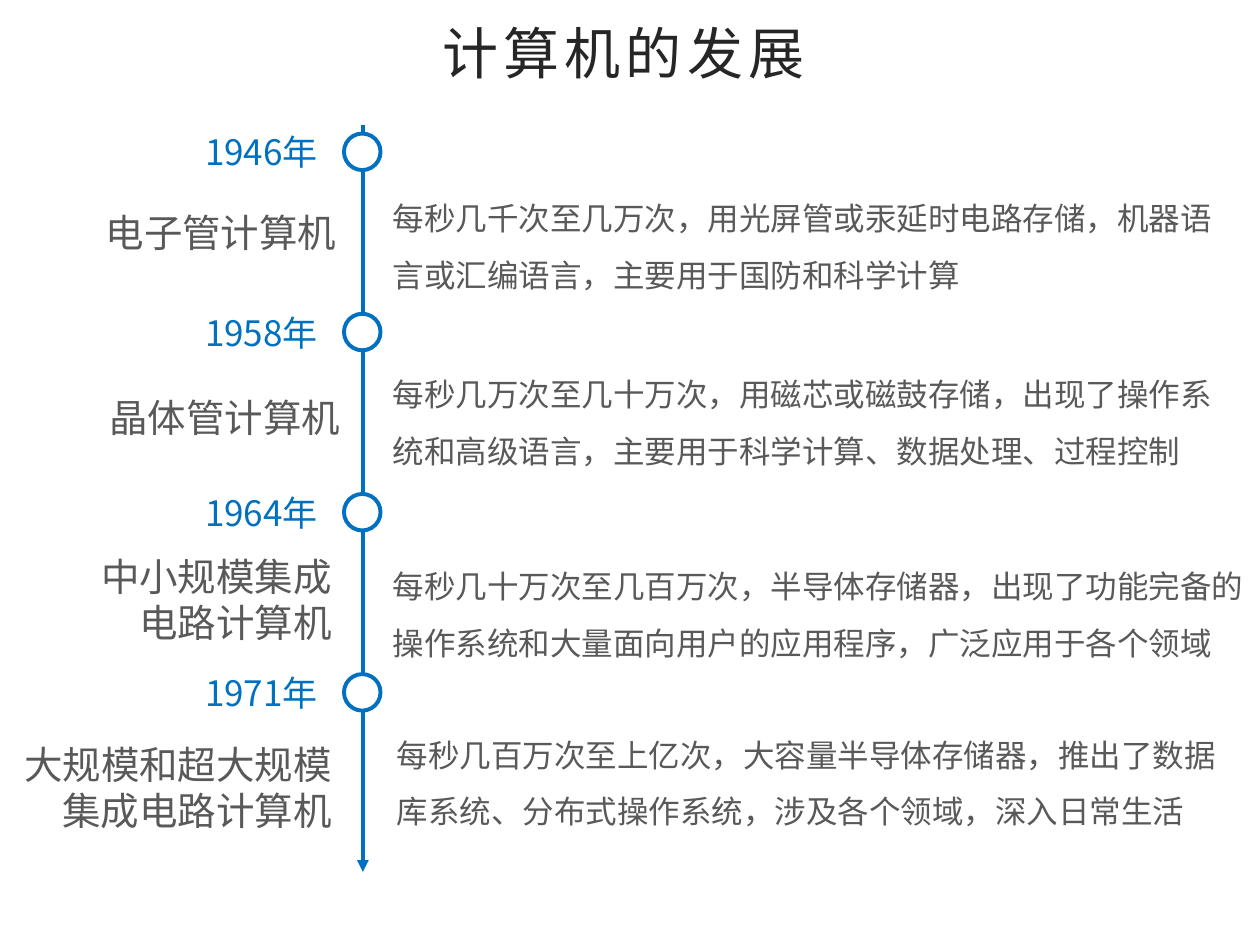
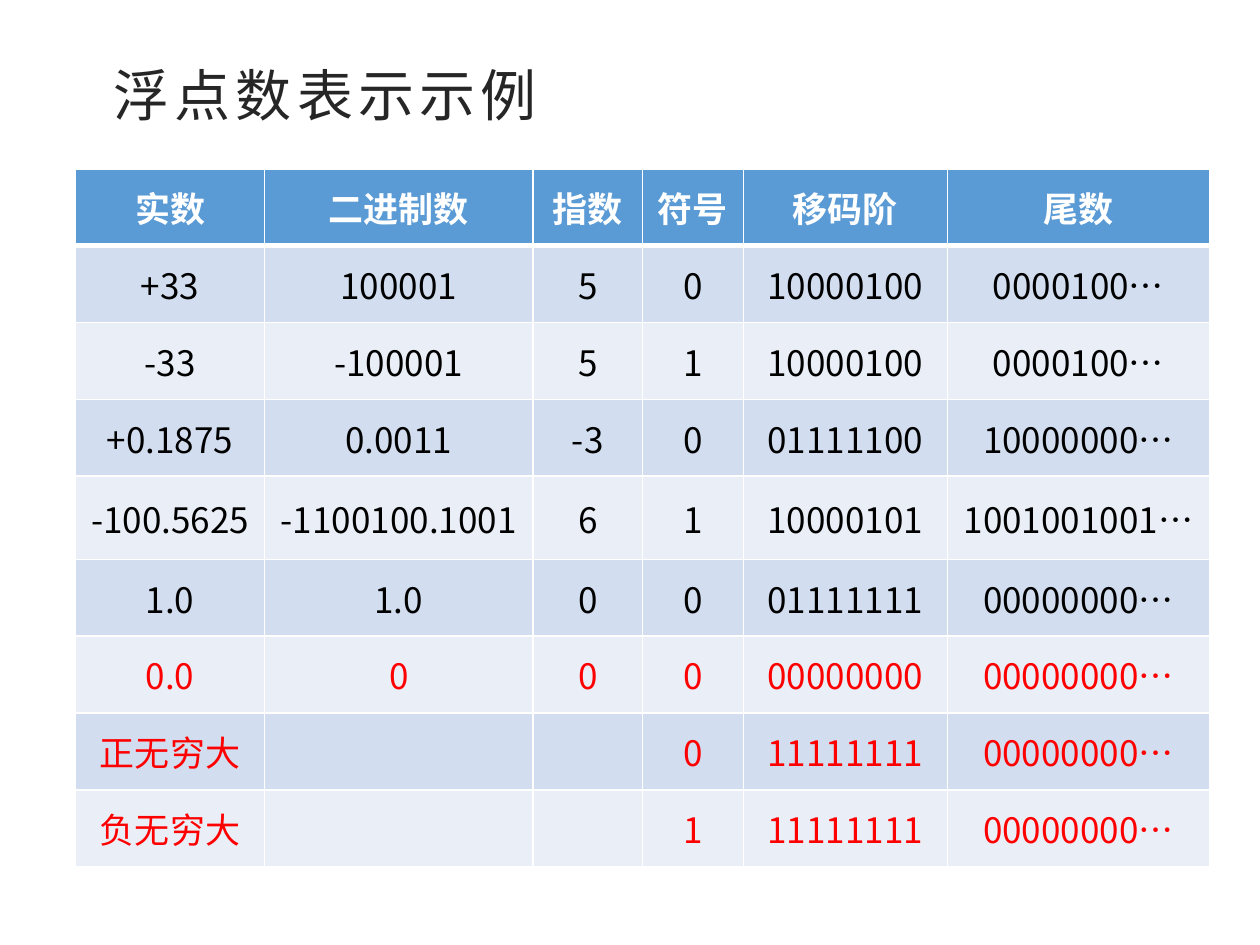
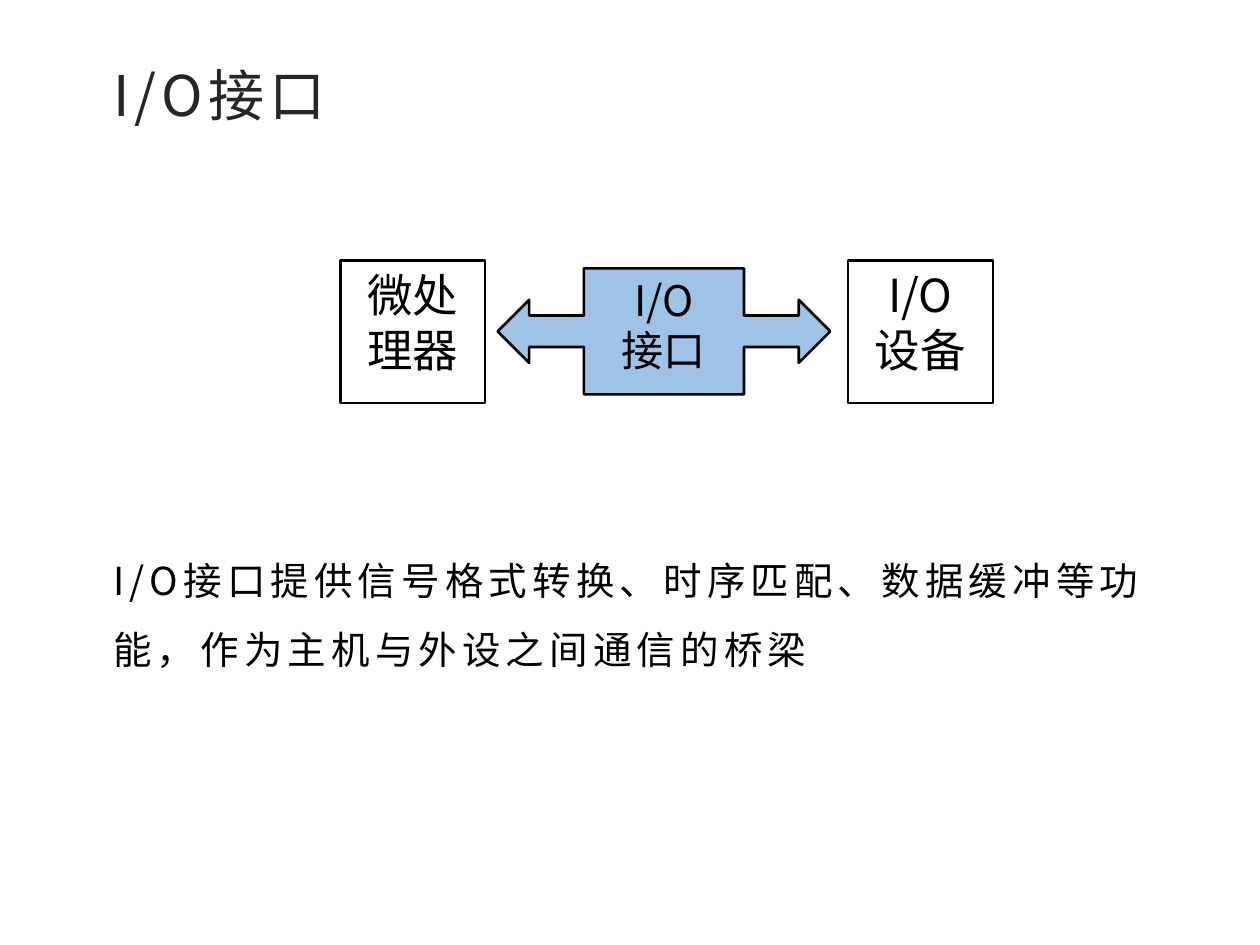
from lxml.etree import SubElement
from pptx import Presentation
from pptx.dml.color import RGBColor
from pptx.enum.shapes import MSO_CONNECTOR as Connector
from pptx.enum.shapes import MSO_SHAPE as Shape
from pptx.enum.text import MSO_ANCHOR as Anchor
from pptx.enum.text import MSO_AUTO_SIZE as AutoSize
from pptx.enum.text import PP_ALIGN as Align
from pptx.oxml.ns import qn
from pptx.util import Emu, Pt

FONT = "Noto Sans CJK SC"
BLACK, WHITE, RED = "000000", "FFFFFF", "FF0000"
BLUE, GRAY, TITLE = "0070C0", "595959", "262626"
HEADER, BANDS = "5B9BD5", ("EAEFF7", "D2DEEF")
CALLOUT = "9DC3E6"


def px(length):
    return Emu(length * 9144)


def color(code):
    return RGBColor.from_string(code)


class Deck:
    def __init__(self, width, height):
        self.deck = Presentation()
        self.deck.slide_width, self.deck.slide_height = px(width), px(height)
        self.page = None

    def add_page(self):
        self.page = self.deck.slides.add_slide(self.deck.slide_layouts[6])

    def fill_text(self, frame, lines, size, tone, align=Align.LEFT, spacing=None, tracking=0, bold=False):
        for index, line in enumerate(lines):
            para = frame.add_paragraph() if index else frame.paragraphs[0]
            para.alignment = align
            if spacing:
                para.line_spacing = spacing
            span = para.add_run()
            span.text = line
            font = span.font
            font.name, font.size, font.bold = FONT, Pt(size), bold
            font.color.rgb = color(tone)
            properties = span._r.get_or_add_rPr()
            if tracking:
                properties.set("spc", str(tracking * 100))
            SubElement(properties, qn("a:ea"), typeface=FONT)

    def text(self, area, line, size, tone, **style):
        frame = self.page.shapes.add_textbox(*map(px, area)).text_frame
        frame.word_wrap = True
        frame.auto_size = AutoSize.SHAPE_TO_FIT_TEXT
        self.fill_text(frame, [line], size, tone, **style)

    def title(self, line, area=(80, 43, 858, 64)):
        self.text(area, line, 32, TITLE, tracking=3)

    def shape(self, kind, area, fill, outline, weight, lines=(), size=0):
        box = self.page.shapes.add_shape(kind, *map(px, area))
        box.shadow.inherit = False
        box.fill.solid()
        box.fill.fore_color.rgb = color(fill)
        box.line.color.rgb = color(outline)
        box.line.width = Pt(weight)
        box.text_frame.vertical_anchor = Anchor.TOP
        self.fill_text(box.text_frame, lines, size, BLACK, Align.CENTER)

    def arrow(self, start, end, tone, weight):
        ends = map(px, (*start, *end))
        line = self.page.shapes.add_connector(Connector.STRAIGHT, *ends)
        line.line.color.rgb = color(tone)
        line.line.width = Pt(weight)
        properties = line._element.spPr
        SubElement(properties.find(qn("a:ln")), qn("a:tailEnd"), type="triangle")
        SubElement(properties, qn("a:effectLst"))

    def borders(self, cell, top, bottom):
        properties = cell._tc.get_or_add_tcPr()
        for side, weight in zip("LRTB", (1, 1, top, bottom)):
            edge = SubElement(properties, qn(f"a:ln{side}"), w=str(Pt(weight)))
            fill = SubElement(edge, qn("a:solidFill"))
            SubElement(fill, qn("a:srgbClr"), val=WHITE)

    def table(self, left, top, widths, heights, rows, red_from):
        area = (left, top, sum(widths), sum(heights))
        table = self.page.shapes.add_table(len(rows), len(widths), *map(px, area)).table
        table.first_row = table.horz_banding = False
        for column, width in zip(table.columns, widths):
            column.width = px(width)
        for index, (height, values) in enumerate(zip(heights, rows)):
            table.rows[index].height = px(height)
            header = index == 0
            fill = HEADER if header else BANDS[index % 2]
            tone = WHITE if header else RED if index >= red_from else BLACK
            for cell, value in zip(table.rows[index].cells, values):
                self.borders(cell, 3 if index == 1 else 1, 3 if header else 1)
                cell.fill.solid()
                cell.fill.fore_color.rgb = color(fill)
                cell.vertical_anchor = Anchor.MIDDLE
                if value:
                    self.fill_text(cell.text_frame, [value], 20, tone, Align.CENTER, bold=header)


STAGES = [
    ("1946年", "电子管计算机", (74, 161, 221, 47), Align.LEFT,
     "每秒几千次至几万次，用光屏管或汞延时电路存储，机器语言或汇编语言，主要用于国防和科学计算",
     (302, 138, 684, 101)),
    ("1958年", "晶体管计算机", (77, 308, 214, 47), Align.LEFT,
     "每秒几万次至几十万次，用磁芯或磁鼓存储，出现了操作系统和高级语言，主要用于科学计算、数据处理、过程控制",
     (302, 278, 684, 101)),
    ("1964年", "中小规模集成电路计算机", (45, 434, 228, 84), Align.RIGHT,
     "每秒几十万次至几百万次，半导体存储器，出现了功能完备的操作系统和大量面向用户的应用程序，广泛应用于各个领域",
     (302, 430, 698, 101)),
    ("1971年", "大规模和超大规模集成电路计算机", (8, 583, 265, 84), Align.RIGHT,
     "每秒几百万次至上亿次，大容量半导体存储器，推出了数据库系统、分布式操作系统，涉及各个领域，深入日常生活",
     (305, 564, 681, 101)),
]

FLOATS = [
    ("实数", "二进制数", "指数", "符号", "移码阶", "尾数"),
    ("+33", "100001", "5", "0", "10000100", "0000100…"),
    ("-33", "-100001", "5", "1", "10000100", "0000100…"),
    ("+0.1875", "0.0011", "-3", "0", "01111100", "10000000…"),
    ("-100.5625", "-1100100.1001", "6", "1", "10000101", "1001001001…"),
    ("1.0", "1.0", "0", "0", "01111111", "00000000…"),
    ("0.0", "0", "0", "0", "00000000", "00000000…"),
    ("正无穷大", "", "", "0", "11111111", "00000000…"),
    ("负无穷大", "", "", "1", "11111111", "00000000…"),
]


def timeline_page(deck):
    deck.add_page()
    deck.title("计算机的发展", (341, 10, 322, 64))
    deck.arrow((288, 99), (288, 692), BLUE, 2.25)
    for index, (year, name, name_area, align, detail, detail_area) in enumerate(STAGES):
        top = 99 + 143 * index
        deck.shape(Shape.OVAL, (273, top + 7, 29, 29), WHITE, BLUE, 2.25)
        deck.text((153, top, 134, 44), year, 20, BLUE)
        deck.text(name_area, name, 22, GRAY, align=align)
        deck.text(detail_area, detail, 18, GRAY, spacing=1.5)


def floats_page(deck):
    deck.add_page()
    deck.title("浮点数表示示例")
    heights = [66 if row == 4 else 61 for row in range(len(FLOATS))]
    deck.table(60, 134, (150, 213, 87, 80, 162, 208), heights, FLOATS, red_from=6)


def interface_page(deck):
    deck.add_page()
    deck.title("I/O接口")
    for left, lines in ((270, ["微处理器"]), (673, ["I/O", "设备"])):
        deck.shape(Shape.FLOWCHART_PROCESS, (left, 207, 115, 113), WHITE, BLACK, 1.5, lines, 26)
    deck.shape(Shape.LEFT_RIGHT_ARROW_CALLOUT, (395, 213, 264, 100), CALLOUT, BLACK, 1.5,
               ["I/O", "接口"], 24)
    deck.text((80, 419, 858, 112),
              "I/O接口提供信号格式转换、时序匹配、数据缓冲等功能，作为主机与外设之间通信的桥梁",
              22, BLACK, spacing=1.5, tracking=3)


def main():
    deck = Deck(1000, 750)
    timeline_page(deck)
    floats_page(deck)
    interface_page(deck)
    deck.deck.save("out.pptx")


if __name__ == "__main__":
    main()
